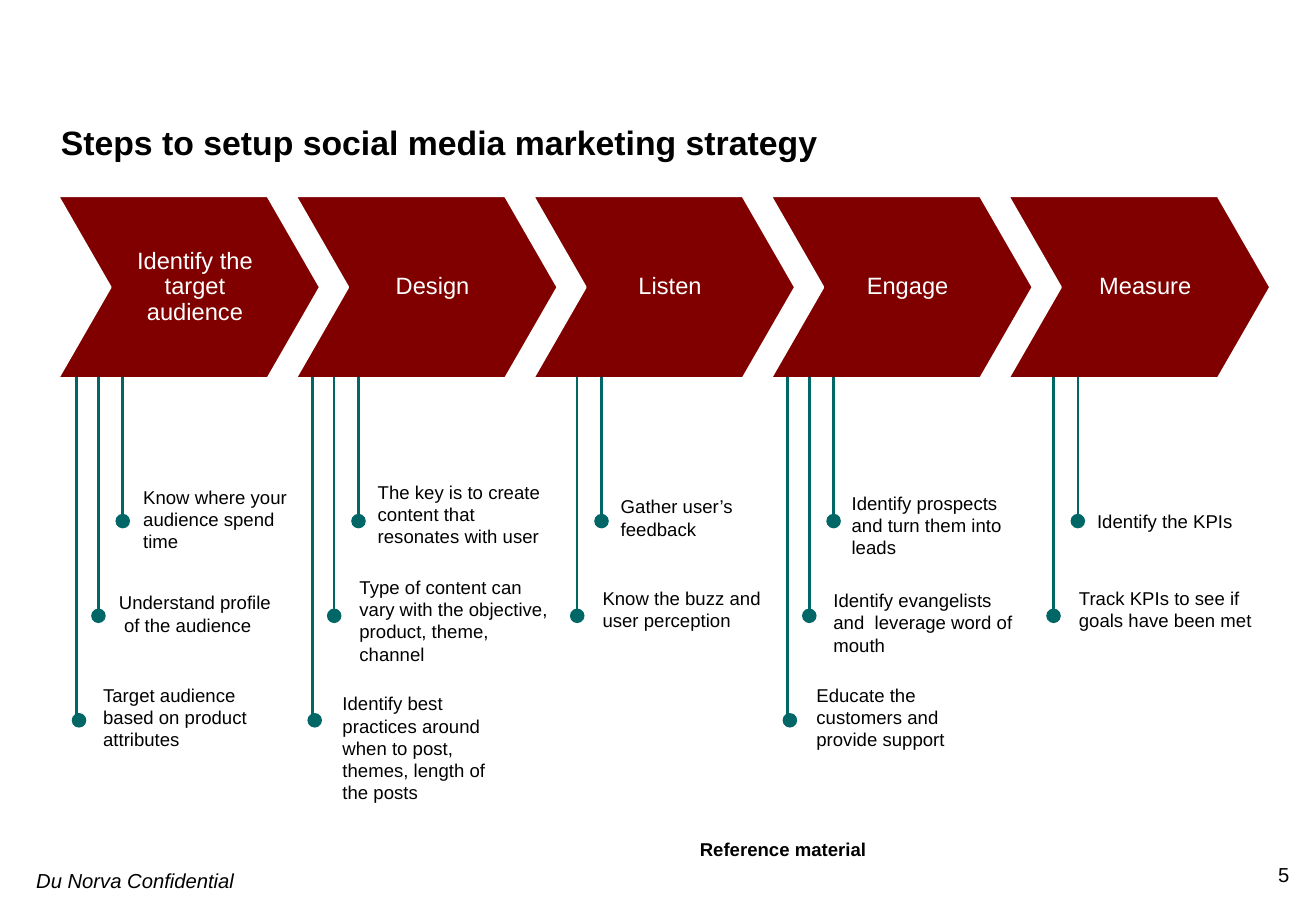
import pptx
import pptx.dml.color
import pptx.enum.shapes
import pptx.enum.text
import pptx.util
from lxml import etree

Inches = pptx.util.Inches
Pt = pptx.util.Pt
ALIGN = pptx.enum.text.PP_ALIGN
ANCHOR = pptx.enum.text.MSO_ANCHOR

COLORS = {
    name: pptx.dml.color.RGBColor.from_string(code)
    for name, code in {
        "chevron": "800000", "stem": "006666", "text": "000000", "white": "FFFFFF",
    }.items()
}

# Chevron row
LEFT, TOP, STEP = 0.47, 1.61, 1.955
WIDTH, HEIGHT = 2.17, 1.51
NOTCH = WIDTH / 5
# Drops below a chevron: distance from the first stem, and height of the dot's centre
STEM_TOP, DOT = 3.1, 0.12
STEM_OFFSETS = [0, -0.2, -0.38]
DOT_OFFSETS = [0, -0.2, -0.36]
DOT_LEVELS = [4.29, 5.07, 5.93]

# Step name, x of its first stem, and its notes as (left, top, width, height, text)
STEPS = [
    ("Identify the target audience", 1.01, [
        (1.08, 3.95, 1.45, 0.66, "Know where your audience spend time"),
        (0.88, 4.82, 1.45, 0.47, "Understand profile  of the audience"),
        (0.75, 5.58, 1.45, 0.66, "Target audience based on product attributes"),
    ]),
    ("Design", 2.95, [
        (3.01, 3.91, 1.59, 0.66, "The key is to create content that resonates with user"),
        (2.86, 4.69, 1.83, 0.84,
         "Type of content can vary with the objective, product, theme, channel"),
        (2.72, 5.65, 1.45, 1.03,
         "Identify best practices around when to post, themes, length of the posts"),
    ]),
    ("Listen", 4.95, [
        (5.01, 4.03, 1.59, 0.47, "Gather user’s feedback"),
        (4.86, 4.78, 1.62, 0.47, "Know the buzz and user perception"),
    ]),
    ("Engage", 6.86, [
        (6.91, 4.0, 1.59, 0.66, "Identify prospects and turn them into leads"),
        (6.76, 4.8, 1.75, 0.66, "Identify evangelists and  leverage word of mouth"),
        (6.62, 5.58, 1.45, 0.66, "Educate the customers and provide support"),
    ]),
    ("Measure", 8.87, [
        (8.93, 4.15, 1.59, 0.29, "Identify the KPIs"),
        (8.78, 4.78, 1.69, 0.47, "Track KPIs to see if goals have been met"),
    ]),
]


def write(shape, text, size, color="text", align=ALIGN.LEFT, anchor=ANCHOR.TOP,
          margins=(0.1, 0.05, 0.1, 0.05), bold=False, italic=False):
    """Fill a shape with one formatted paragraph and return that paragraph."""
    frame = shape.text_frame
    frame.text = text
    frame.word_wrap = True
    frame.auto_size = pptx.enum.text.MSO_AUTO_SIZE.NONE
    frame.vertical_anchor = anchor
    (frame.margin_left, frame.margin_top,
     frame.margin_right, frame.margin_bottom) = map(Inches, margins)
    para = frame.paragraphs[0]
    para.alignment = align
    font = para.runs[0].font
    font.name, font.size, font.bold, font.italic = "Arial", Pt(size), bold, italic
    font.color.rgb = COLORS[color]
    return para


def add_note(left, top, width, height, text, size=11, **style):
    box = page.shapes.add_textbox(*map(Inches, (left, top, width, height)))
    write(box, text, size, **style).space_before = Pt(size / 10)


deck = pptx.Presentation()
deck.slide_width, deck.slide_height = Inches(10.83), Inches(7.5)
page = deck.slides.add_slide(deck.slide_layouts[5])

title = page.shapes.title
title.left, title.top, title.width, title.height = map(Inches, (0.5, 0.42, 9.83, 0.92))
write(title, "Steps to setup social media marketing strategy", 20, bold=True,
      anchor=ANCHOR.BOTTOM, margins=(0, 0, 0, 0)).line_spacing = 0.9

for column, (name, first_stem, notes) in enumerate(STEPS):
    left = LEFT + column * STEP
    right, middle, bottom = left + WIDTH, TOP + HEIGHT / 2, TOP + HEIGHT
    corners = [
        (left, TOP), (right - NOTCH, TOP), (right, middle),
        (right - NOTCH, bottom), (left, bottom), (left + NOTCH, middle),
    ]
    points = [(Inches(x), Inches(y)) for x, y in corners]
    outline = page.shapes.build_freeform(*points[0])
    outline.add_line_segments(points[1:], close=True)
    chevron = outline.convert_to_shape()
    chevron.shadow.inherit = False
    chevron.fill.solid()
    chevron.fill.fore_color.rgb = COLORS["chevron"]
    chevron.line.color.rgb = COLORS["white"]
    chevron.line.width = Pt(2)
    write(chevron, name, 14, color="white", align=ALIGN.CENTER, anchor=ANCHOR.MIDDLE,
          margins=(0.58, 0.05, 0.48, 0.05)).line_spacing = 0.9

    for note, stem_offset, dot_offset, level in zip(
            notes, STEM_OFFSETS, DOT_OFFSETS, DOT_LEVELS):
        stem_x = Inches(first_stem + stem_offset)
        stem = page.shapes.add_connector(
            pptx.enum.shapes.MSO_CONNECTOR.STRAIGHT,
            stem_x, Inches(STEM_TOP), stem_x, Inches(level))
        stem.line.color.rgb = COLORS["stem"]
        stem.line.width = Pt(1.5)
        etree.SubElement(stem._element.spPr, pptx.oxml.ns.qn("a:effectLst"))

        dot = page.shapes.add_shape(
            pptx.enum.shapes.MSO_SHAPE.OVAL,
            Inches(first_stem + dot_offset - DOT / 2), Inches(level - DOT / 2),
            Inches(DOT), Inches(DOT))
        dot.shadow.inherit = False
        dot.fill.solid()
        dot.fill.fore_color.rgb = COLORS["stem"]
        dot.line.fill.background()
        add_note(*note)

add_note(4.81, 6.85, 3.27, 0.29, "Reference material", bold=True, align=ALIGN.CENTER)
add_note(0.2, 7.1, 2, 0.3, "Du Norva Confidential", size=12, italic=True)
page_number = page.shapes.add_textbox(*map(Inches, (10.4, 7.1, 0.21, 0.2)))
write(page_number, "5", 12, align=ALIGN.RIGHT, margins=(0, 0, 0, 0))

deck.save("out.pptx")
